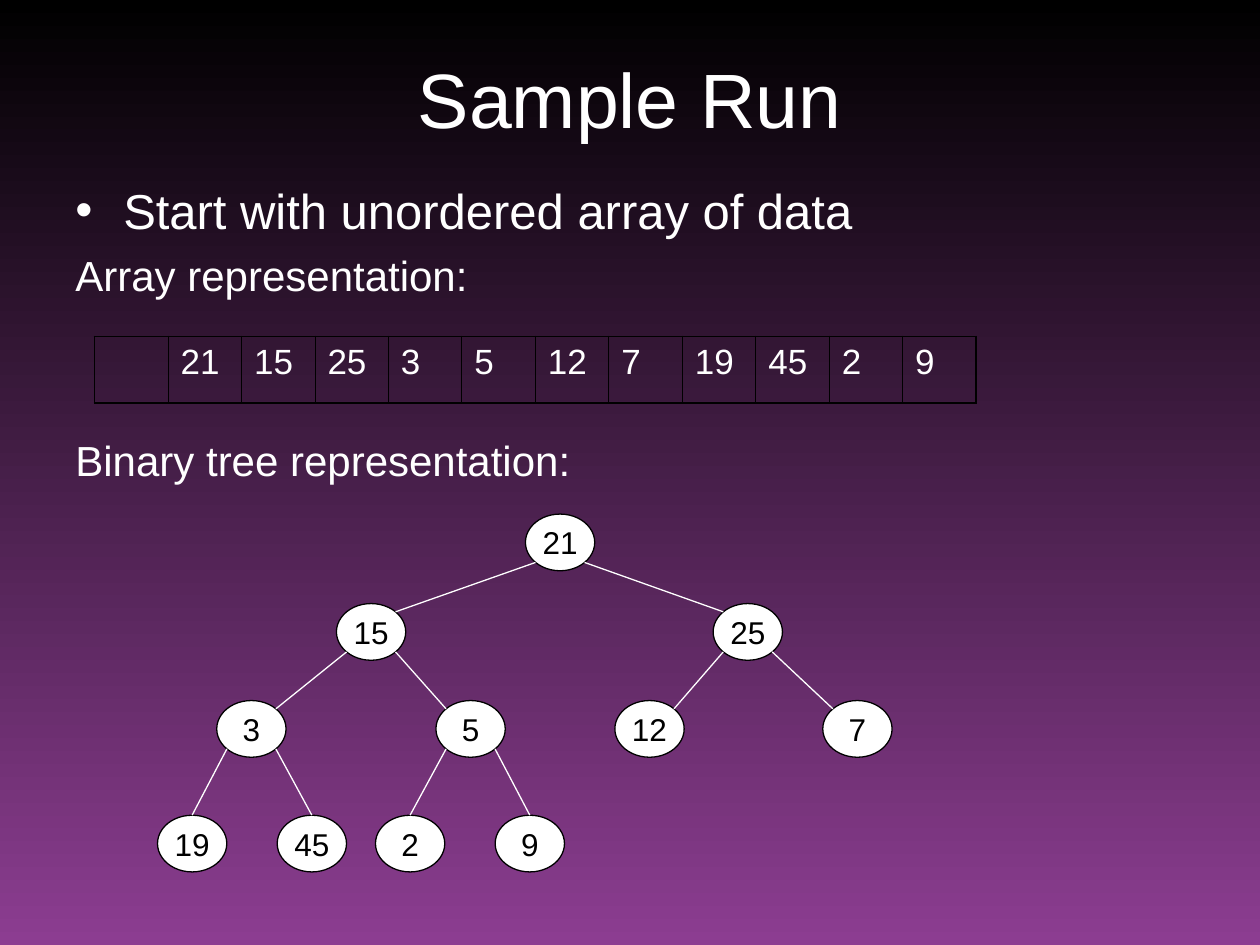
import math
import pptx
import pptx.util
import pptx.dml.color
import pptx.enum.shapes
import pptx.enum.text
import pptx.oxml
import pptx.oxml.ns

Inches, Pt = pptx.util.Inches, pptx.util.Pt
ANCHOR, ALIGN = pptx.enum.text.MSO_ANCHOR, pptx.enum.text.PP_ALIGN
COLORS = {"text": "FFFFFF", "node": "FFFFFF", "edge": "FFFFFF", "ink": "000000",
          "top": "000000", "bottom": "8C3D91"}
FONT = "Arial"

TITLE = "Sample Run"
BODY = [
    {"text": "Start with unordered array of data", "size": 28, "before": 0, "bullet": True},
    {"text": "Array representation:", "size": 24, "before": 6, "bullet": False},
    {"text": "Binary tree representation:", "size": 24, "before": 77, "bullet": False},
]
HEAP = [21, 15, 25, 3, 5, 12, 7, 19, 45, 2, 9]
NODE_LEFTS = [4.17, 2.67, 5.66, 1.72, 3.46, 4.88, 6.53, 1.25, 2.2, 2.98, 3.93]
LEVEL_TOPS = [4.08, 4.79, 5.56, 6.47]
NODE_W, NODE_H = 0.55, 0.45
FRAME = {"margin_left": Inches(0.1), "margin_right": Inches(0.1),
         "margin_top": Inches(0.05), "margin_bottom": Inches(0.05)}


def rgb(name):
    return pptx.dml.color.RGBColor.from_string(COLORS[name])


def apply(target, values):
    for name, value in values.items():
        setattr(target, name, value)


def write(paragraph, text, size, color="text", **layout):
    apply(paragraph, layout)
    run = paragraph.add_run()
    run.text = text
    apply(run.font, {"name": FONT, "size": Pt(size)})
    run.font.color.rgb = rgb(color)


def add_element(parent, xml):
    parent.append(pptx.oxml.parse_xml(
        xml.replace(" ", " " + pptx.oxml.ns.nsdecls("a") + " ", 1)))


def add_text_frame(slide, left, top, width, height, **frame):
    box = slide.shapes.add_textbox(*map(Inches, (left, top, width, height)))
    apply(box.text_frame, {**FRAME, "word_wrap": True, **frame})
    return box.text_frame


def add_body(slide):
    frame = add_text_frame(slide, 0.5, 1.33, 9.08, 5.37, margin_top=Inches(0.1))
    for i, item in enumerate(BODY):
        paragraph = frame.add_paragraph() if i else frame.paragraphs[0]
        write(paragraph, item["text"], item["size"], space_before=Pt(item["before"]))
        props = paragraph._p.get_or_add_pPr()
        props.set("marL", str(Inches(0.38)))
        props.set("indent", str(-Inches(0.38)))
        if item["bullet"]:
            add_element(props, '<a:buFont typeface="Arial"/>')
            add_element(props, '<a:buChar char="•"/>')
        else:
            add_element(props, "<a:buNone />")


def add_array(slide):
    values = [""] + HEAP
    table = slide.shapes.add_table(1, len(values), *map(Inches, (0.75, 2.67, 7, 0.53))).table
    apply(table, {"first_row": False, "horz_banding": False})
    for i, value in enumerate(values):
        table.columns[i].width = Inches(7 / len(values))
        cell = table.cell(0, i)
        apply(cell, FRAME)
        if value:
            write(cell.text_frame.paragraphs[0], str(value), 20, space_before=Pt(5))
        widths = {"lnL": 0.45 if i else 1.08,
                  "lnR": 0.45 if i < len(HEAP) else 1.08,
                  "lnT": 1.08, "lnB": 1.08}
        for side, width in widths.items():
            add_element(cell._tc.get_or_add_tcPr(),
                        f'<a:{side} w="{Pt(width)}"><a:solidFill>'
                        f'<a:srgbClr val="{COLORS["ink"]}"/></a:solidFill></a:{side}>')
        cell.fill.background()


def add_edge(tree, start, end):
    edge = tree.shapes.add_connector(pptx.enum.shapes.MSO_CONNECTOR.STRAIGHT,
                                     *map(Inches, (*start, *end)))
    edge.line.width = Pt(0.75)
    edge.line.color.rgb = rgb("edge")
    add_element(edge._element.spPr, "<a:effectLst />")


def add_node(tree, value, left, top):
    node = tree.shapes.add_shape(pptx.enum.shapes.MSO_SHAPE.FLOWCHART_CONNECTOR,
                                 *map(Inches, (left, top, NODE_W, NODE_H)))
    node.shadow.inherit = False
    node.fill.solid()
    node.fill.fore_color.rgb = rgb("node")
    node.line.color.rgb = rgb("ink")
    node.line.width = Pt(0.75)
    apply(node.text_frame, {**FRAME, "word_wrap": False, "vertical_anchor": ANCHOR.MIDDLE})
    write(node.text_frame.paragraphs[0], str(value), 18, "ink", alignment=ALIGN.CENTER)


def add_tree(slide):
    tree = slide.shapes.add_group_shape()
    levels = [int(math.log2(i + 1)) for i in range(len(HEAP))]
    centers = [(left + NODE_W / 2, LEVEL_TOPS[level] + NODE_H / 2)
               for left, level in zip(NODE_LEFTS, levels)]
    dx, dy = NODE_W / 2 * math.sqrt(0.5), NODE_H / 2 * math.sqrt(0.5)
    for i, value in enumerate(HEAP):
        add_node(tree, value, NODE_LEFTS[i], LEVEL_TOPS[levels[i]])
        if i:
            side = -1 if i % 2 else 1
            (px, py), (x, y) = centers[(i - 1) // 2], centers[i]
            bottom_level = levels[i] == len(LEVEL_TOPS) - 1
            end = (x, y - NODE_H / 2) if bottom_level else (x - side * dx, y - dy)
            add_edge(tree, (px + side * dx, py + dy), end)


def main():
    deck = pptx.Presentation()
    apply(deck, {"slide_width": Inches(10), "slide_height": Inches(7.5)})
    slide = deck.slides.add_slide(deck.slide_layouts[6])
    background = slide.background.fill
    background.gradient()
    background.gradient_angle = 270
    for stop, name, position in zip(background.gradient_stops, ("top", "bottom"), (0, 1)):
        stop.color.rgb = rgb(name)
        stop.position = position
    title = add_text_frame(slide, 0.5, 0.3, 9, 0.95, vertical_anchor=ANCHOR.MIDDLE)
    write(title.paragraphs[0], TITLE, 44, alignment=ALIGN.CENTER)
    add_body(slide)
    add_array(slide)
    add_tree(slide)
    deck.save("out.pptx")


if __name__ == "__main__":
    main()
